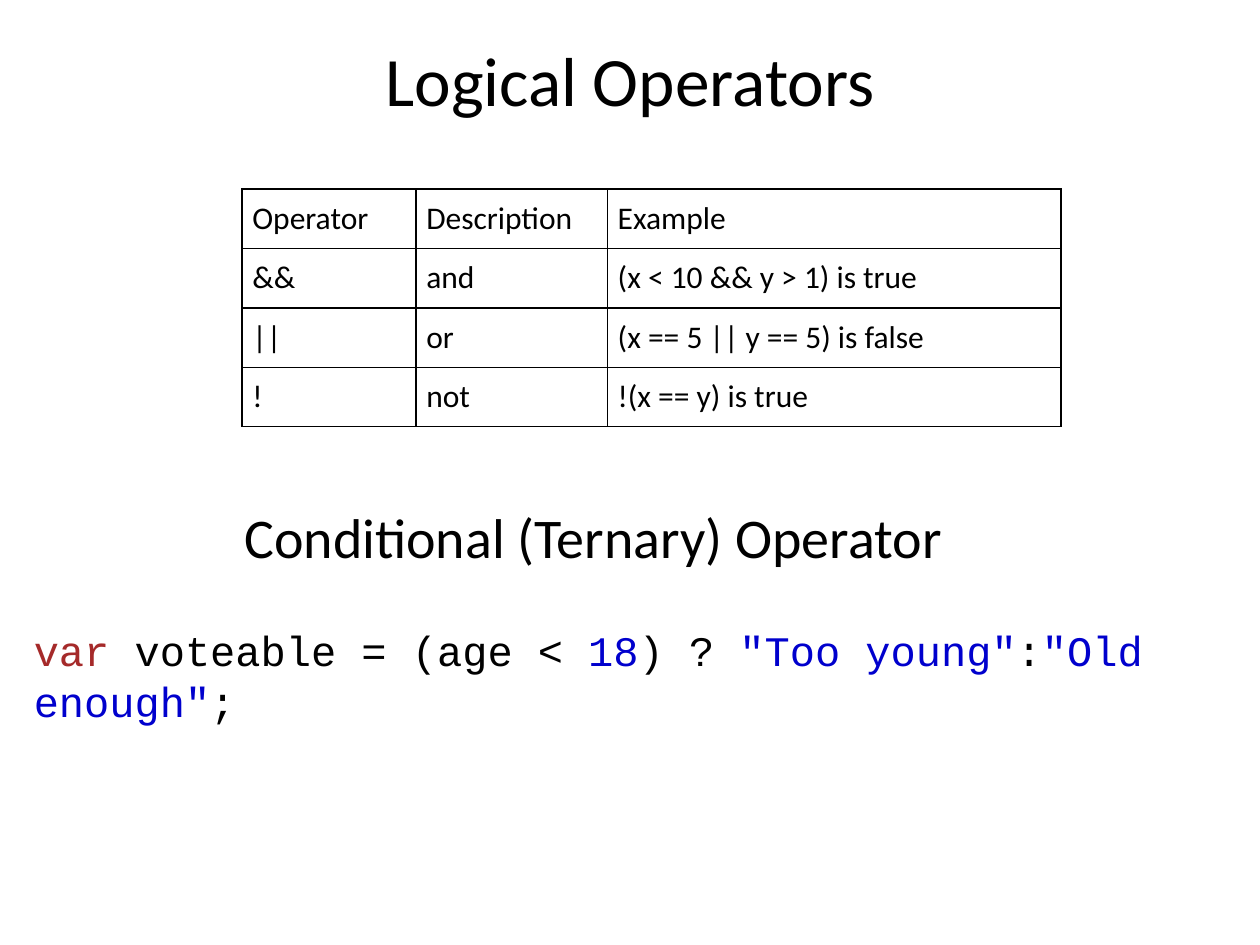
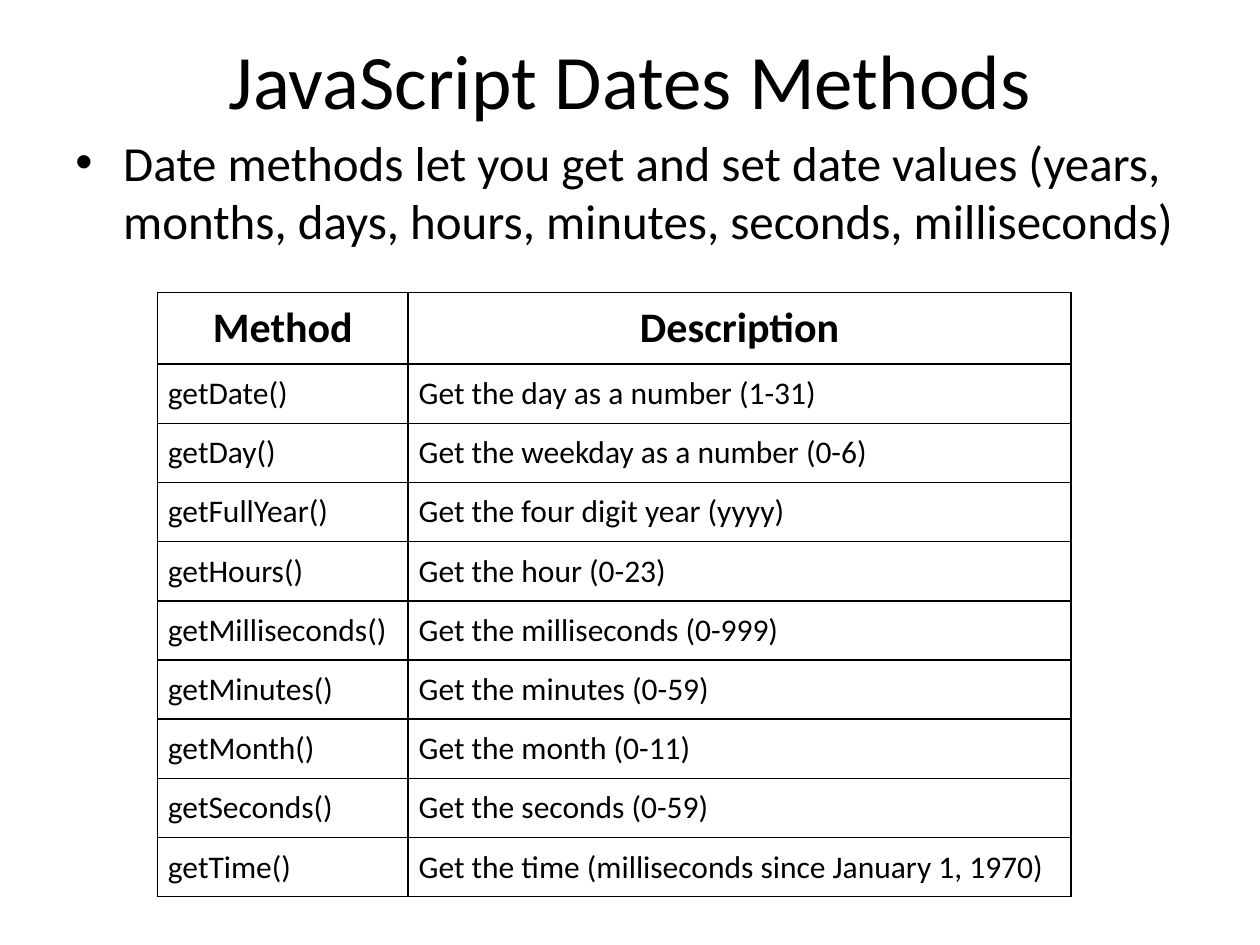
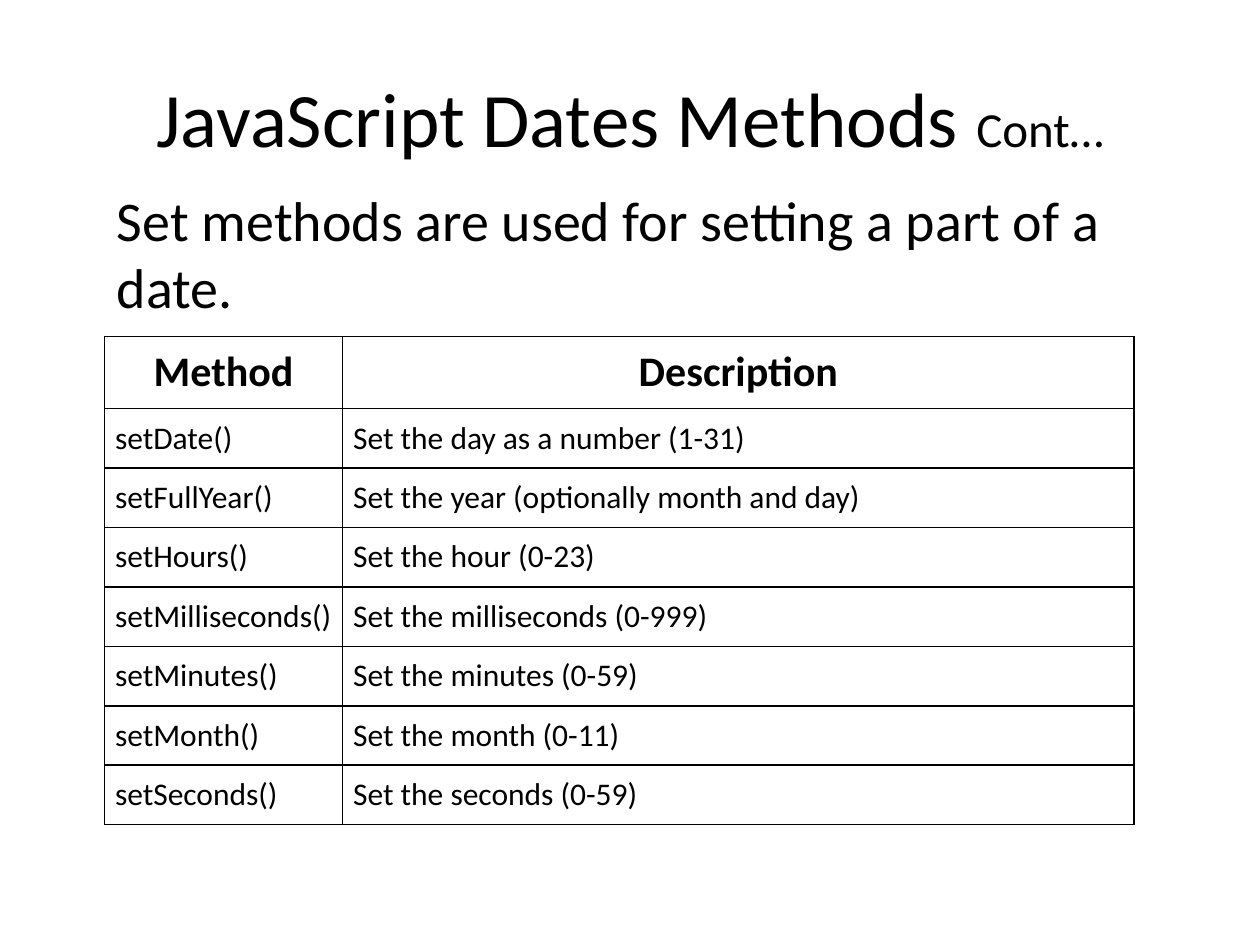
from lxml import etree
from pptx import Presentation
from pptx import util as u
from pptx.dml import color
from pptx.enum import text
from pptx.oxml import ns

BLACK, KEYWORD, LITERAL = "000000", "A52A2A", "0000CD"
BODY_FONT, CODE_FONT = "Calibri", "Courier New"
LEFT, CENTER = text.PP_ALIGN.LEFT, text.PP_ALIGN.CENTER
TITLE_ONLY = 5
HEADER_HEIGHT, ROW_HEIGHT = 0.57, 0.47

OPERATORS = [
    ("Operator", "Description", "Example"),
    ("&&", "and", "(x < 10 && y > 1) is true"),
    ("||", "or", "(x == 5 || y == 5) is false"),
    ("!", "not", "!(x == y) is true"),
]
TERNARY = [
    ("var ", {"hue": KEYWORD}),
    ("voteable = (age < ", {}),
    ("18", {"hue": LITERAL}),
    (") ? ", {}),
    ('"Too young"', {"hue": LITERAL}),
    (":", {}),
    ('"Old enough"', {"hue": LITERAL}),
    (";", {}),
]
METHOD_HEADER = ("Method", "Description")
GET_METHODS = [
    METHOD_HEADER,
    ("getDate()", "Get the day as a number (1-31)"),
    ("getDay()", "Get the weekday as a number (0-6)"),
    ("getFullYear()", "Get the four digit year (yyyy)"),
    ("getHours()", "Get the hour (0-23)"),
    ("getMilliseconds()", "Get the milliseconds (0-999)"),
    ("getMinutes()", "Get the minutes (0-59)"),
    ("getMonth()", "Get the month (0-11)"),
    ("getSeconds()", "Get the seconds (0-59)"),
    ("getTime()", "Get the time (milliseconds since January 1, 1970)"),
]
SET_METHODS = [
    METHOD_HEADER,
    ("setDate()", "Set the day as a number (1-31)"),
    ("setFullYear()", "Set the year (optionally month and day)"),
    ("setHours()", "Set the hour (0-23)"),
    ("setMilliseconds()", "Set the milliseconds (0-999)"),
    ("setMinutes()", "Set the minutes (0-59)"),
    ("setMonth()", "Set the month (0-11)"),
    ("setSeconds()", "Set the seconds (0-59)"),
]


def rgb(value):
    """Turn a hex string into a colour."""
    return color.RGBColor.from_string(value)


def add_span(para, words, size=18, font=BODY_FONT, hue=BLACK, bold=False):
    """Append formatted text to a paragraph."""
    span = para.add_run()
    span.text = words
    span.font.size = u.Pt(size)
    span.font.name = font
    span.font.bold = bold
    span.font.color.rgb = rgb(hue)


def write(frame, spans, align=LEFT, **style):
    """Fill a text frame with one paragraph of (words, format) spans."""
    para = frame.paragraphs[0]
    para.alignment = align
    for words, changes in spans:
        add_span(para, words, **{**style, **changes})
    return para


def add_text(page, box, spans, **style):
    """Add a wrapping text box and return its paragraph."""
    frame = page.shapes.add_textbox(*map(u.Inches, box)).text_frame
    frame.word_wrap = True
    return write(frame, spans, **style)


def add_bullet(para, indent):
    """Give a paragraph a hanging round bullet."""
    properties = para._p.get_or_add_pPr()
    properties.set("marL", str(u.Inches(indent)))
    properties.set("indent", str(-u.Inches(indent)))
    etree.SubElement(properties, ns.qn("a:buFont"), typeface="Arial")
    etree.SubElement(properties, ns.qn("a:buChar"), char="•")


def add_page(deck, top, spans, size):
    """Add a slide whose title box starts at the given height."""
    page = deck.slides.add_slide(deck.slide_layouts[TITLE_ONLY])
    title = page.shapes.title
    title.left, title.top, title.width, title.height = map(u.Inches, (0.5, top, 9, 1.25))
    title.text_frame.vertical_anchor = text.MSO_ANCHOR.MIDDLE
    write(title.text_frame, spans, align=CENTER, size=size)
    return page


def outline_cell(cell):
    """Draw a thin black line on each side of a cell."""
    properties = cell._tc.get_or_add_tcPr()
    for place, side in enumerate(("lnL", "lnR", "lnT", "lnB")):
        line = etree.Element(ns.qn(f"a:{side}"), w=str(u.Pt(1)))
        fill = etree.SubElement(line, ns.qn("a:solidFill"))
        etree.SubElement(fill, ns.qn("a:srgbClr"), val=BLACK)
        properties.insert(place, line)


def add_grid(page, left, top, widths, rows, large_header=False):
    """Add an outlined table, with a large bold header if asked."""
    heights = [ROW_HEIGHT] * len(rows)
    if large_header:
        heights[0] = HEADER_HEIGHT
    box = map(u.Inches, (left, top, sum(widths), sum(heights)))
    grid = page.shapes.add_table(len(rows), len(widths), *box).table
    for column, width in zip(grid.columns, widths):
        column.width = u.Inches(width)
    for index, (row, height) in enumerate(zip(grid.rows, heights)):
        row.height = u.Inches(height)
        header = large_header and index == 0
        style = {"size": 24, "bold": True, "align": CENTER} if header else {}
        for cell, words in zip(row.cells, rows[index]):
            cell.fill.background()
            cell.margin_left = cell.margin_right = u.Pt(6)
            cell.margin_top = cell.margin_bottom = u.Pt(6)
            write(cell.text_frame, [(words, {})], **style)
            outline_cell(cell)


def build_operators(deck):
    """Build the slide on logical and conditional operators."""
    page = add_page(deck, 0, [("Logical Operators", {})], 39.6)
    add_grid(page, 1.92, 1.5, (1.38, 1.52, 3.6), OPERATORS)
    heading = [("Conditional (Ternary) Operator", {})]
    add_text(page, (1, 3.94, 7.42, 0.64), heading, size=32, align=CENTER)
    add_text(page, (0.17, 4.91, 9.83, 0.9), TERNARY, size=24, font=CODE_FONT)


def build_get_methods(deck):
    """Build the slide on reading parts of a date."""
    page = add_page(deck, 0, [("JavaScript Dates Methods", {})], 44)
    intro = ("Date methods let you get and set date values (years, months, "
             "days, hours, minutes, seconds, milliseconds)")
    add_bullet(add_text(page, (0.5, 1, 9, 1.1), [(intro, {})], size=28), 0.38)
    add_grid(page, 1.25, 2.32, (1.99, 5.26), GET_METHODS, large_header=True)


def build_set_methods(deck):
    """Build the slide on setting parts of a date."""
    title = [("JavaScript Dates Methods ", {}), ("Cont…", {"size": 28})]
    page = add_page(deck, 0.3, title, 44)
    add_grid(page, 0.83, 2.67, (1.89, 6.28), SET_METHODS, large_header=True)
    intro = [("Set methods are used for setting a part of a date.", {})]
    add_text(page, (0.83, 1.42, 8.17, 1.18), intro, size=32)


def main():
    """Build and save the deck."""
    deck = Presentation()
    deck.slide_width, deck.slide_height = u.Inches(10), u.Inches(7.5)
    build_operators(deck)
    build_get_methods(deck)
    build_set_methods(deck)
    deck.save("out.pptx")


if __name__ == "__main__":
    main()
